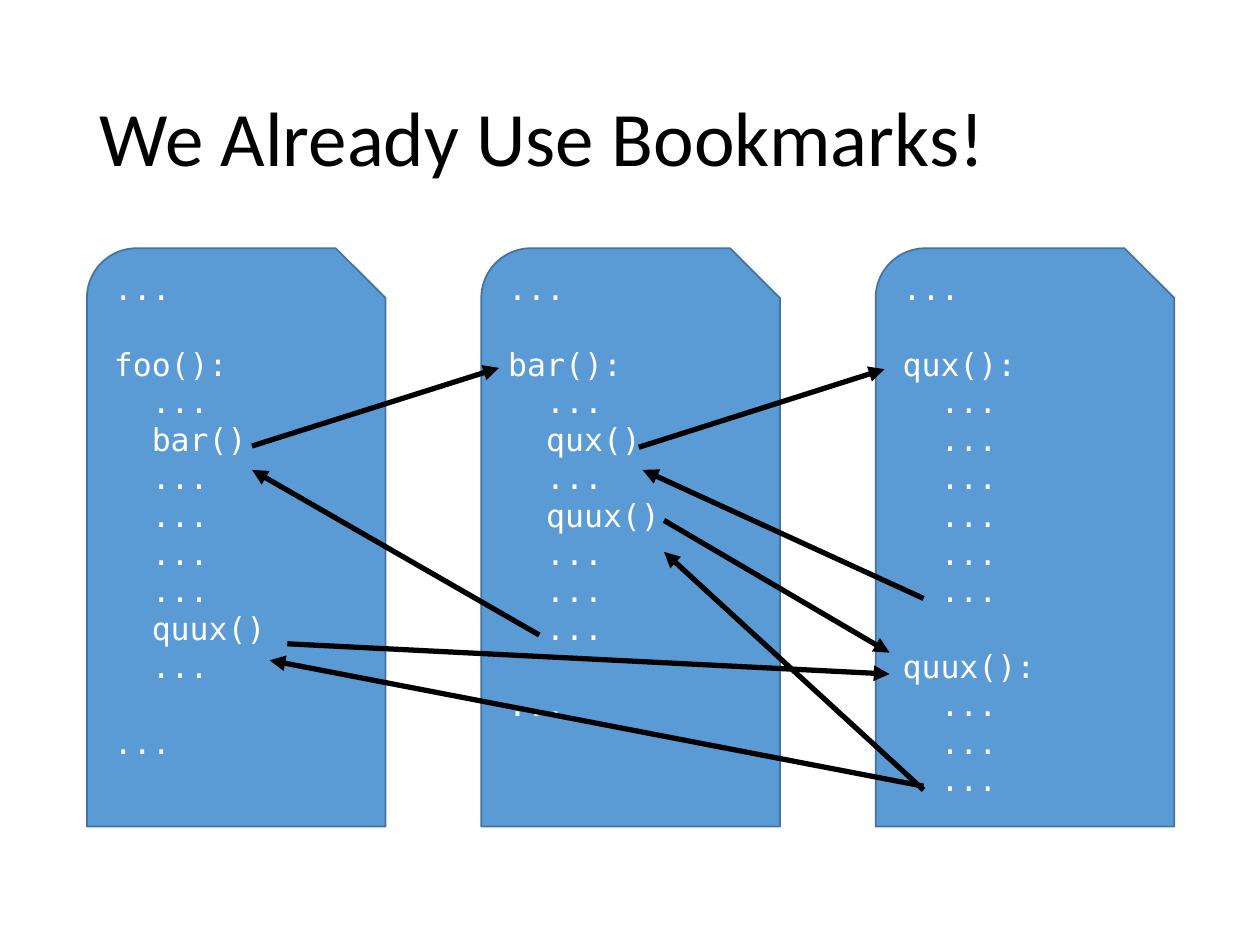
from lxml import etree
from pptx import Presentation
from pptx import util as u
from pptx.dml.color import RGBColor
from pptx.enum import shapes, text
from pptx.oxml.ns import qn

BLACK = RGBColor(0x00, 0x00, 0x00)
WHITE = RGBColor(0xFF, 0xFF, 0xFF)
BLUE = RGBColor(0x5B, 0x9B, 0xD5)
EDGE = RGBColor(0x43, 0x73, 0x9E)

MARGIN = 6.9
COLUMN_PITCH = 31.3
DOTS = "  ..."

FILES = [
    [["..."],
     ["foo():", DOTS, "  bar()"] + [DOTS] * 4 + ["  quux()", DOTS],
     ["..."]],
    [["..."],
     ["bar():", DOTS, "  qux()", DOTS, "  quux()"] + [DOTS] * 3,
     ["..."]],
    [["..."],
     ["qux():"] + [DOTS] * 6,
     ["quux():"] + [DOTS] * 3],
]

JUMPS = [
    ((20, 47.2), (39.6, 38.93)),
    ((50.7, 47.33), (70.2, 39.07)),
    ((22.8, 68.13), (70.6, 71.33)),
    ((52.7, 55.07), (70.6, 69.07)),
    ((42.8, 67.2), (20, 49.73)),
    ((73.3, 63.33), (51, 49.73)),
    ((73.3, 83.2), (21.4, 69.87)),
    ((73.3, 83.6), (52.7, 58.4)),
]


class Deck:
    title_font = "Calibri"
    code_font = "DejaVu Sans Mono"
    row = u.Pt(21.6)

    def __init__(self):
        self.prs = Presentation()
        self.prs.slide_width = u.Inches(10)
        self.prs.slide_height = u.Inches(7.5)
        self.s = self.prs.slides.add_slide(self.prs.slide_layouts[6])

    def x(self, percent):
        return round(self.prs.slide_width * percent / 100)

    def y(self, percent):
        return round(self.prs.slide_height * percent / 100)

    def area(self, left, top, width, height):
        return self.x(left), self.y(top), self.x(width), self.y(height)

    def style(self, p, font, size, color):
        for r in p.runs:
            r.font.name = font
            r.font.size = u.Pt(size)
            r.font.color.rgb = color

    def title(self, words, *area):
        sp = self.s.shapes.add_textbox(*self.area(*area))
        tf = sp.text_frame
        tf.word_wrap = True
        tf.vertical_anchor = text.MSO_ANCHOR.MIDDLE
        tf.text = words
        p = tf.paragraphs[0]
        p.line_spacing = 0.9
        self.style(p, self.title_font, 44, BLACK)

    def code_file(self, blocks, *area):
        sp = self.s.shapes.add_shape(
            shapes.MSO_SHAPE.SNIP_ROUND_RECTANGLE, *self.area(*area))
        sp.shadow.inherit = False
        sp.fill.solid()
        sp.fill.fore_color.rgb = BLUE
        sp.line.color.rgb = EDGE
        sp.line.width = u.Pt(1)
        tf = sp.text_frame
        tf.word_wrap = True
        tf.vertical_anchor = text.MSO_ANCHOR.TOP
        tf.text = "\n".join(line for block in blocks for line in block)
        for p in tf.paragraphs:
            p.alignment = text.PP_ALIGN.LEFT
            p.line_spacing = self.row
            self.style(p, self.code_font, 18, WHITE)
        start = 0
        for block in blocks[:-1]:
            start += len(block)
            tf.paragraphs[start].space_before = self.row

    def arrow(self, start, end):
        c = self.s.shapes.add_connector(
            shapes.MSO_CONNECTOR.STRAIGHT,
            self.x(start[0]), self.y(start[1]), self.x(end[0]), self.y(end[1]))
        c.line.color.rgb = BLACK
        c.line.width = u.Pt(3)
        etree.SubElement(c.line._get_or_add_ln(), qn("a:tailEnd"), type="triangle")
        etree.SubElement(c._element.spPr, qn("a:effectLst"))


def main():
    deck = Deck()
    deck.title("We Already Use Bookmarks!", MARGIN, 5.33, 86.2, 19.33)
    for i, blocks in enumerate(FILES):
        deck.code_file(blocks, MARGIN + i * COLUMN_PITCH, 26.27, 23.7, 61.2)
    for start, end in JUMPS:
        deck.arrow(start, end)
    deck.prs.save("out.pptx")


if __name__ == "__main__":
    main()
